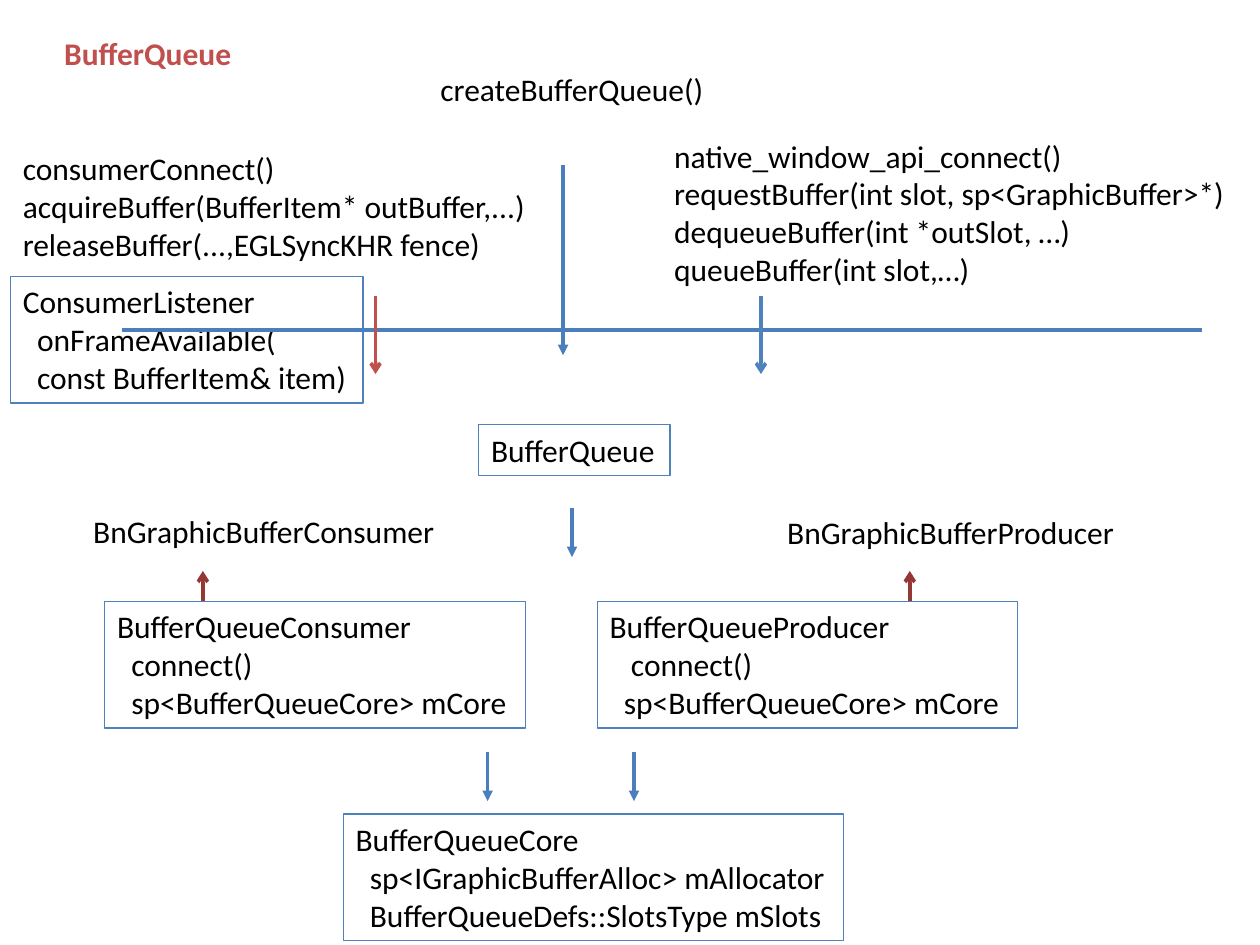
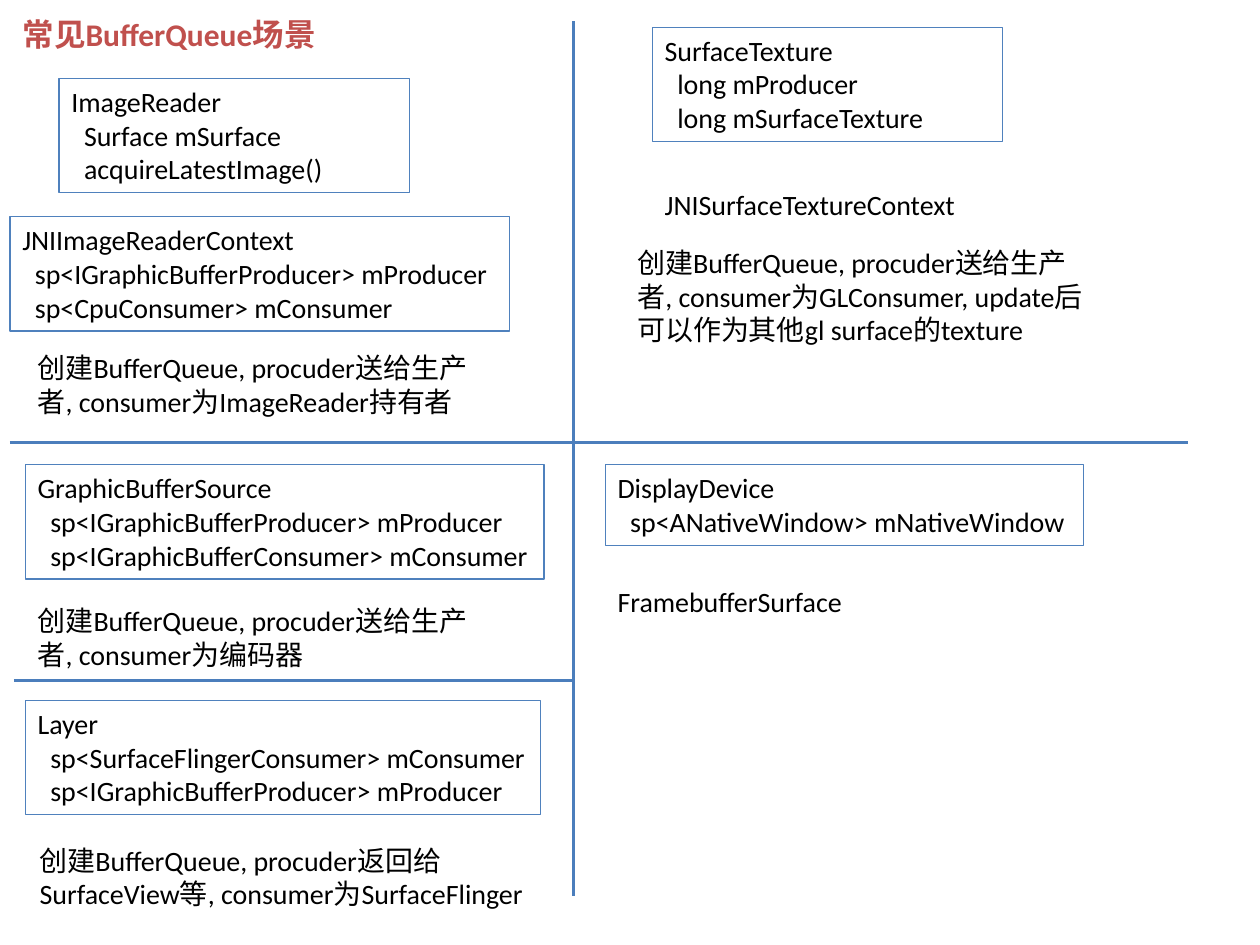
from dataclasses import dataclass

from lxml import etree
from pptx import Presentation
from pptx.dml.color import RGBColor
from pptx.enum import shapes, text
from pptx.oxml import ns
from pptx.util import Cm, Pt


@dataclass(frozen=True)
class Theme:
    font: str = "Calibri"
    ink: str = "000000"
    accent: str = "C0504D"
    dark_accent: str = "953735"
    border: str = "4F81BD"
    rule: str = "4B7EBC"
    title_size: int = 18
    border_width: float = 0.75
    rule_width: float = 2
    line_height: float = 1.2   # share of the type size
    space_width: float = 0.226  # share of the type size


THEME = Theme()

# Places are in centimetres. Leading blanks in a line of code set its indent.
# boxes: lines, left, top, width
# labels: lines, left, top, width, rows of text
# rules: start, end, colour, arrowhead
CLASS_TOP, CLASS_WIDTH = 12.12, 8.48
CALL_TOP, CALL_END = 5.97, 7.54
CORE_TOP, CORE_END = 15.16, 16.15
BASE_ARROW_END = 11.51

architecture = {
    "title": ("BufferQueue", 1.04, 0.56, 3.94),
    "size": 18,
    "wrap": False,
    "boxes": [
        (["BufferQueueConsumer", "  connect()", "  sp<BufferQueueCore> mCore"],
         2.11, CLASS_TOP, CLASS_WIDTH),
        (["BufferQueueProducer", "   connect()", "  sp<BufferQueueCore> mCore"],
         12.04, CLASS_TOP, CLASS_WIDTH),
        (["BufferQueue"], 9.65, 8.56, 3.86),
        (["BufferQueueCore", "  sp<IGraphicBufferAlloc> mAllocator",
          "  BufferQueueDefs::SlotsType mSlots"], 6.92, 16.41, 10.08),
        (["ConsumerListener", "  onFrameAvailable(", "  const BufferItem& item)"],
         0.21, 5.57, 7.11),
    ],
    "labels": [
        (["BnGraphicBufferConsumer"], 1.63, 10.2, 7.47, 1),
        (["BnGraphicBufferProducer"], 15.62, 10.22, 7.19, 1),
        (["createBufferQueue()"], 8.63, 1.28, 5.89, 1),
        (["native_window_api_connect()", "requestBuffer(int slot, sp<GraphicBuffer>*)",
          "dequeueBuffer(int *outSlot, …)", "queueBuffer(int slot,…)"],
         13.34, 2.63, 11.76, 4),
        (["consumerConnect()", "acquireBuffer(BufferItem* outBuffer,...)",
          "releaseBuffer(...,EGLSyncKHR fence)"], 0.21, 2.88, 10.82, 3),
    ],
    "rules": [
        ((4.09, CLASS_TOP), (4.09, BASE_ARROW_END), THEME.dark_accent, "arrow"),
        ((18.34, CLASS_TOP), (18.34, BASE_ARROW_END), THEME.dark_accent, "arrow"),
        ((11.35, 3.33), (11.35, 7.16), THEME.rule, "triangle"),
        ((9.83, CORE_TOP), (9.83, CORE_END), THEME.rule, "triangle"),
        ((12.78, CORE_TOP), (12.78, CORE_END), THEME.rule, "triangle"),
        ((11.53, 10.24), (11.53, 11.23), THEME.rule, "triangle"),
        ((2.46, 6.65), (24.23, 6.65), THEME.rule, None),
        ((15.34, CALL_TOP), (15.34, CALL_END), THEME.border, "arrow"),
        ((7.57, CALL_TOP), (7.57, CALL_END), THEME.accent, "arrow"),
    ],
}

LEFT_COLUMN, RIGHT_COLUMN, TEXTURE_LEFT = 0.51, 12.2, 13.15
LOWER_TOP = 9.37
NOTE_WIDTH, READER_WIDTH = 9.55, 7.06

scenarios = {
    "title": ("常见BufferQueue场景", 0.2, 0.18, 6.5),
    "size": 16,
    "wrap": True,
    "boxes": [
        (["JNIImageReaderContext", "  sp<IGraphicBufferProducer> mProducer",
          "  sp<CpuConsumer> mConsumer"], 0.2, 4.37, 10.08),
        (["ImageReader", "  Surface mSurface", "  acquireLatestImage()"],
         1.19, 1.58, READER_WIDTH),
        (["SurfaceTexture", "  long mProducer", "  long mSurfaceTexture"],
         TEXTURE_LEFT, 0.55, READER_WIDTH),
        (["GraphicBufferSource", "  sp<IGraphicBufferProducer> mProducer",
          "  sp<IGraphicBufferConsumer> mConsumer"], LEFT_COLUMN, LOWER_TOP, 10.46),
        (["Layer", "  sp<SurfaceFlingerConsumer> mConsumer",
          "  sp<IGraphicBufferProducer> mProducer"], LEFT_COLUMN, 14.12, 10.39),
        (["DisplayDevice", "  sp<ANativeWindow> mNativeWindow"],
         RIGHT_COLUMN, LOWER_TOP, 9.65),
    ],
    "labels": [
        (["创建BufferQueue, procuder送给生产者, consumer为ImageReader持有者"],
         LEFT_COLUMN, 6.94, NOTE_WIDTH, 2),
        (["JNISurfaceTextureContext"], TEXTURE_LEFT, 3.66, READER_WIDTH, 1),
        (["创建BufferQueue, procuder送给生产者, consumer为GLConsumer, "
          "update后可以作为其他gl surface的texture"], 12.6, 4.83, NOTE_WIDTH, 3),
        (["创建BufferQueue, procuder送给生产者, consumer为编码器"],
         LEFT_COLUMN, 12.04, NOTE_WIDTH, 2),
        (["创建BufferQueue, procuder返回给SurfaceView等, consumer为SurfaceFlinger"],
         0.55, 16.87, 10.39, 2),
        (["FramebufferSurface"], RIGHT_COLUMN, 11.66, 5.56, 1),
    ],
    "rules": [
        ((0.2, 8.92), (23.95, 8.92), THEME.rule, None),
        ((11.56, 0.43), (11.56, 18.06), THEME.rule, None),
        ((0.28, 13.72), (11.53, 13.72), THEME.rule, None),
    ],
}


def color(value):
    return RGBColor.from_string(value)


def frame(left, top, width, rows, size):
    """Place of a text block whose height follows from its rows."""
    height = Cm(0.27) + int(rows * Pt(size) * THEME.line_height)
    return Cm(left), Cm(top), Cm(width), height


def write(shape, lines, size, wrap, ink=THEME.ink, bold=False):
    body = shape.text_frame
    body.text = "\n".join(line.lstrip() for line in lines)
    body.word_wrap = wrap
    body.auto_size = text.MSO_AUTO_SIZE.NONE
    body.vertical_anchor = text.MSO_ANCHOR.TOP
    for paragraph, line in zip(body.paragraphs, lines):
        paragraph.alignment = text.PP_ALIGN.LEFT
        blanks = len(line) - len(line.lstrip())
        if blanks:
            indent = int(blanks * Pt(size) * THEME.space_width)
            paragraph._p.get_or_add_pPr().set("marL", str(indent))
        for run in paragraph.runs:
            run.font.name = THEME.font
            run.font.size = Pt(size)
            run.font.bold = bold
            run.font.color.rgb = color(ink)


def add_title(slide, title, left, top, width, wrap):
    heading = slide.shapes.title
    heading.left, heading.top, heading.width, heading.height = frame(
        left, top, width, 1, THEME.title_size)
    write(heading, [title], THEME.title_size, wrap, THEME.accent, bold=True)


def add_box(slide, lines, left, top, width, size, wrap):
    box = slide.shapes.add_shape(shapes.MSO_SHAPE.RECTANGLE,
                                 *frame(left, top, width, len(lines), size))
    box.shadow.inherit = False
    box.fill.background()
    box.line.color.rgb = color(THEME.border)
    box.line.width = Pt(THEME.border_width)
    write(box, lines, size, wrap)


def add_rule(slide, start, end, stroke, head):
    rule = slide.shapes.add_connector(shapes.MSO_CONNECTOR.STRAIGHT,
                                      *map(Cm, start + end))
    rule.line.color.rgb = color(stroke)
    rule.line.width = Pt(THEME.rule_width)
    if head:
        etree.SubElement(rule.get_or_add_ln(), ns.qn("a:tailEnd"), type=head)
    etree.SubElement(rule._element.spPr, ns.qn("a:effectLst"))


def build(deck, content):
    slide = deck.slides.add_slide(deck.slide_layouts.get_by_name("Title Only"))
    size, wrap = content["size"], content["wrap"]
    add_title(slide, *content["title"], wrap)
    for box in content["boxes"]:
        add_box(slide, *box, size, wrap)
    for lines, *place in content["labels"]:
        write(slide.shapes.add_textbox(*frame(*place, size)), lines, size, wrap)
    for rule in content["rules"]:
        add_rule(slide, *rule)


def main():
    deck = Presentation()
    deck.slide_width, deck.slide_height = Cm(25.4), Cm(19.05)
    for content in (architecture, scenarios):
        build(deck, content)
    deck.save("out.pptx")


if __name__ == "__main__":
    main()
